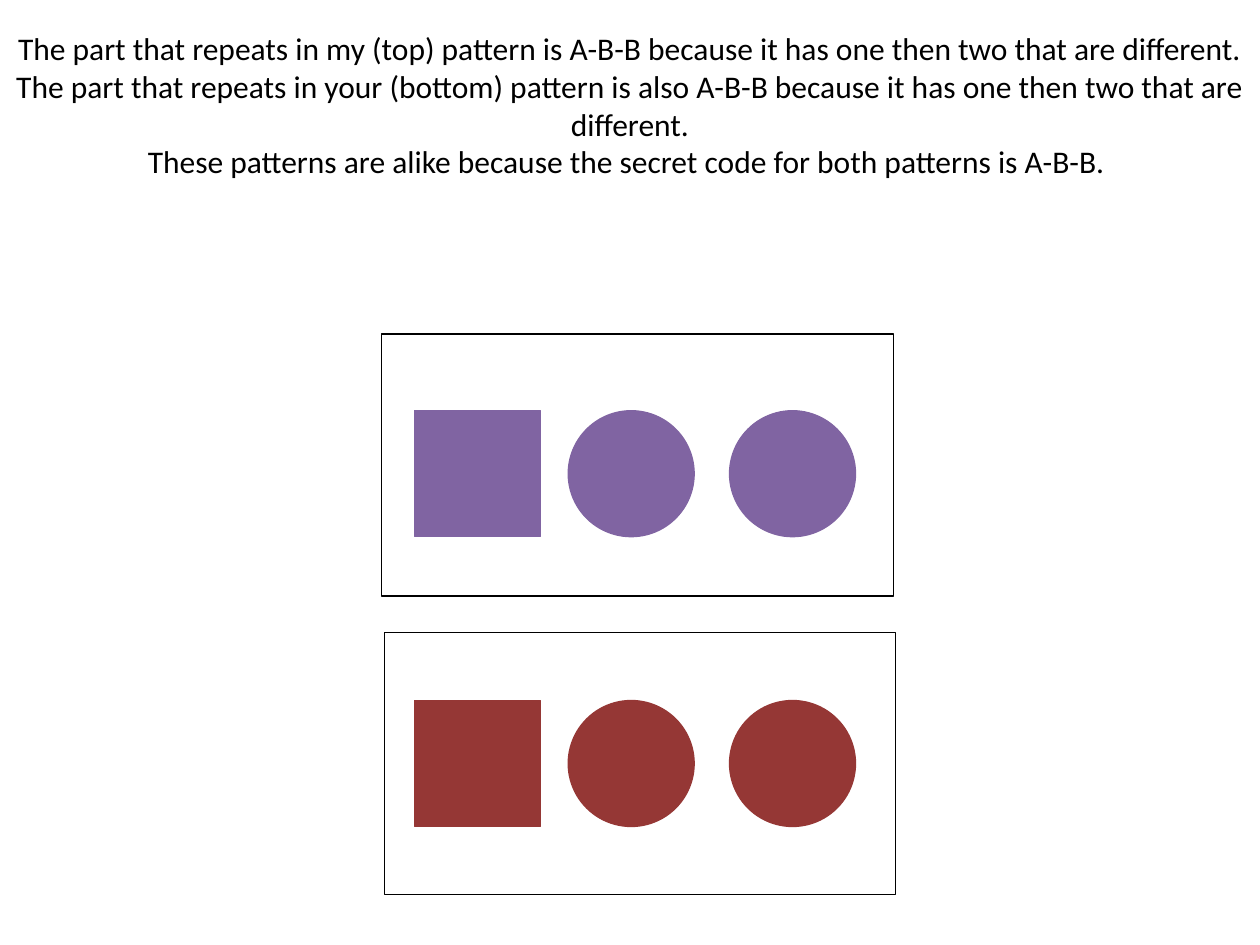
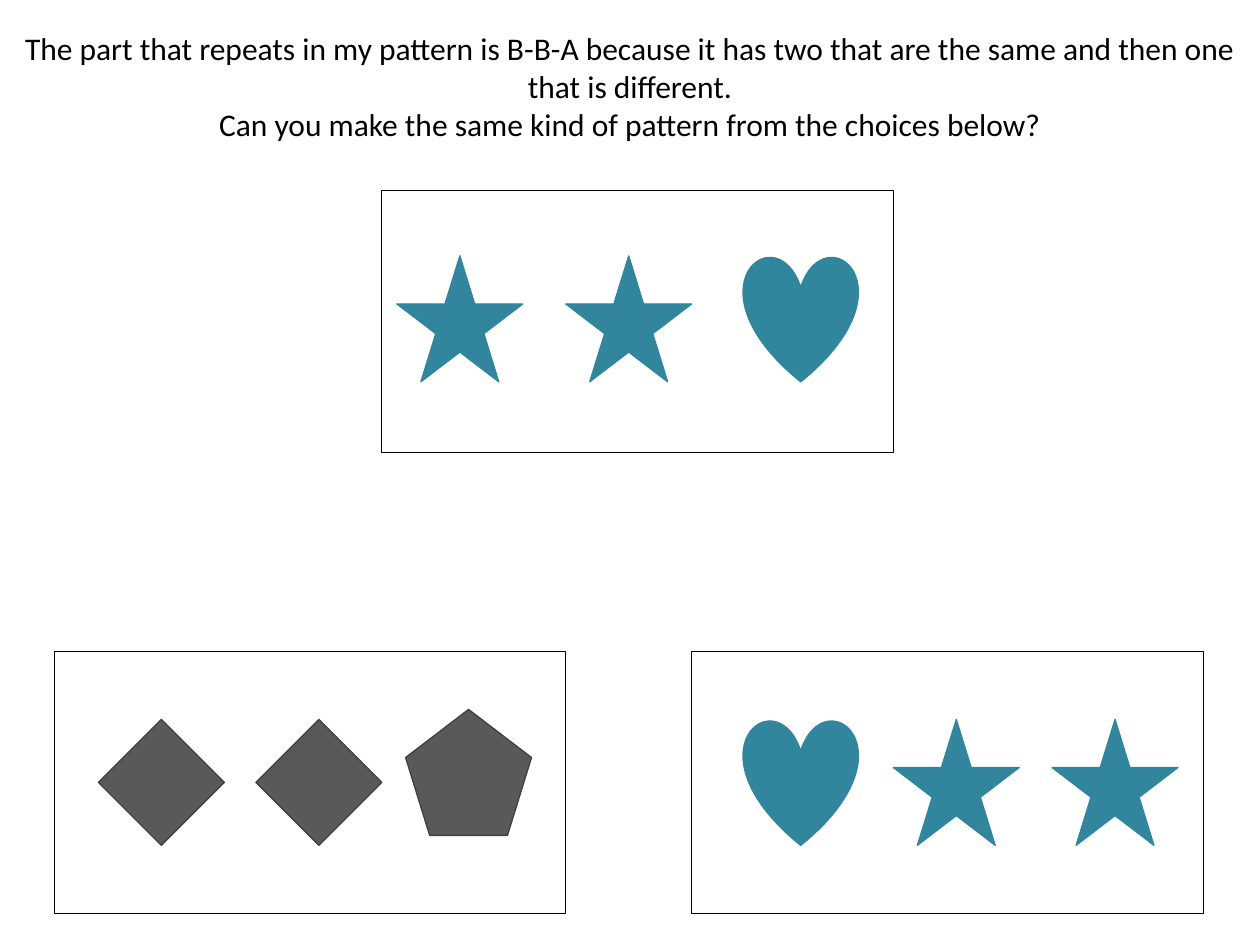
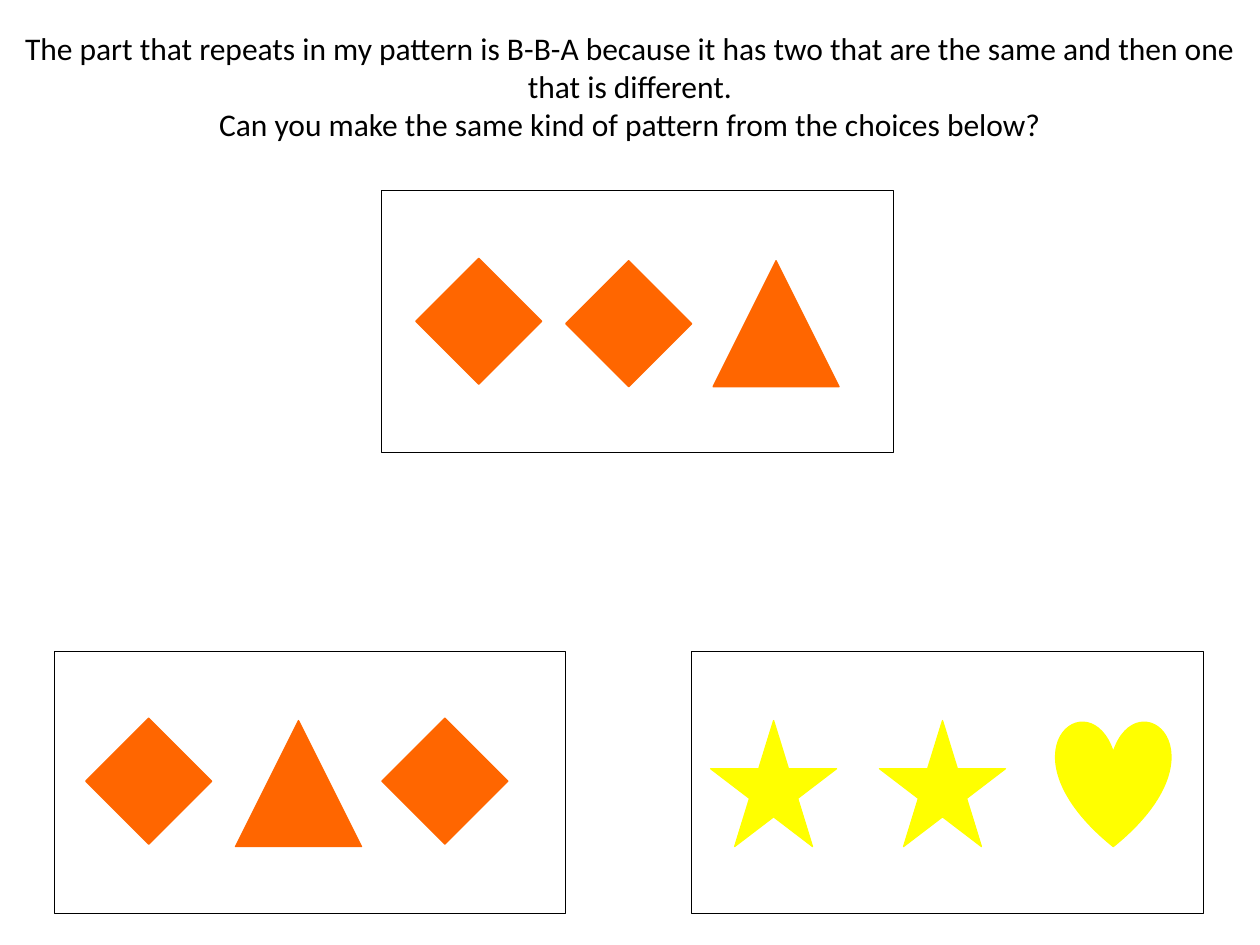
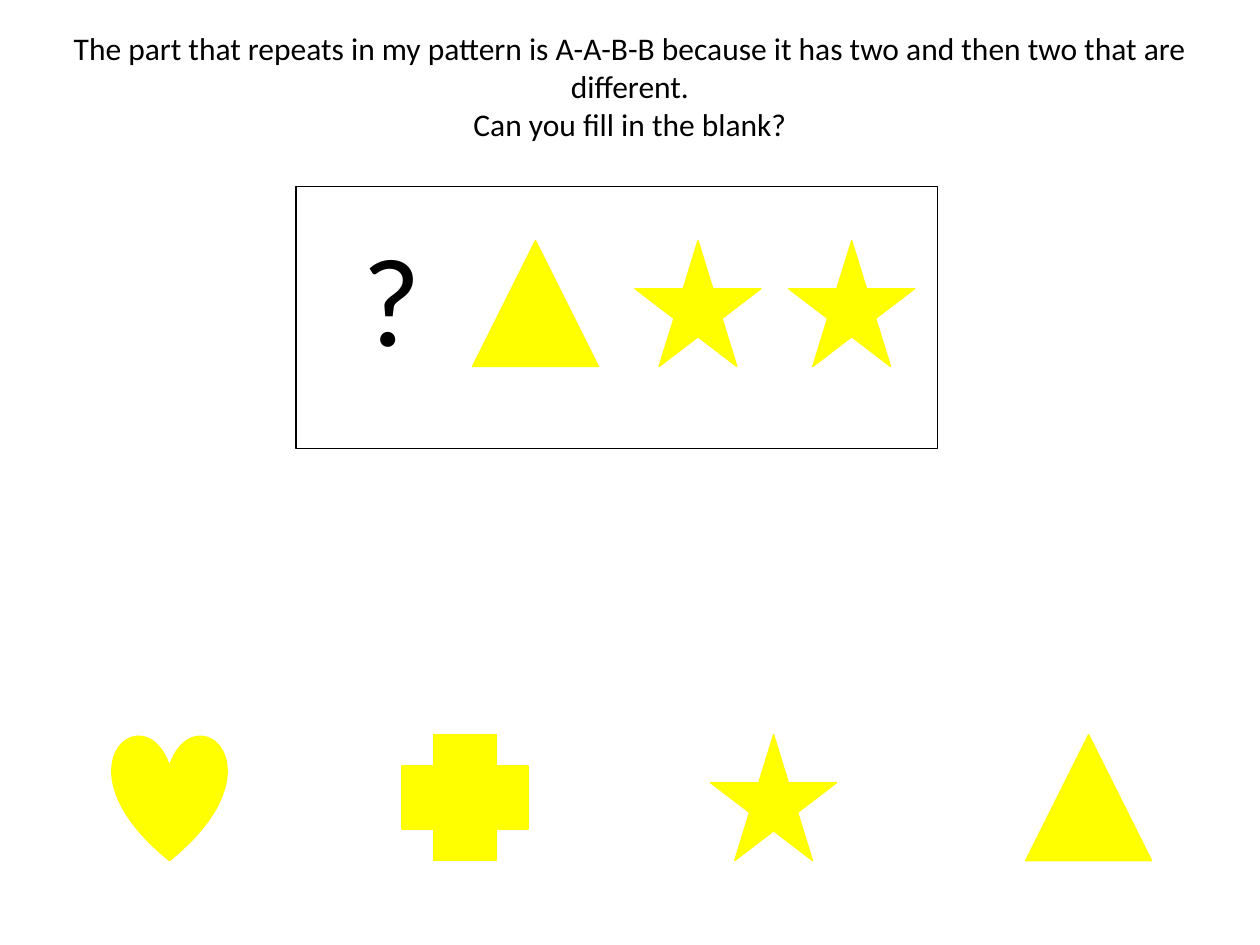
from pptx import Presentation
from pptx.dml.color import RGBColor
from pptx.enum.shapes import MSO_SHAPE
from pptx.enum.text import MSO_ANCHOR, MSO_AUTO_SIZE, PP_ALIGN
from pptx.util import Pt

RECTANGLE = MSO_SHAPE.RECTANGLE
CIRCLE = MSO_SHAPE.OVAL
STAR = MSO_SHAPE.STAR_5_POINT
HEART = MSO_SHAPE.HEART
DIAMOND = MSO_SHAPE.DIAMOND
PENTAGON = MSO_SHAPE.REGULAR_PENTAGON
TRIANGLE = MSO_SHAPE.ISOSCELES_TRIANGLE
CROSS = MSO_SHAPE.CROSS
TOP = MSO_ANCHOR.TOP
CENTER = PP_ALIGN.CENTER
NO_AUTOFIT = MSO_AUTO_SIZE.NONE
TITLE_ONLY = 5

COLORS = {
    "black": "000000",
    "purple": "8064A2",
    "maroon": "953735",
    "teal": "31859C",
    "gray": "595959",
    "dark gray": "404040",
    "orange": "FF6600",
    "yellow": "FFFF00",
}
OUTLINES = {"gray": "dark gray"}
FONT = "Calibri"
SLIDE_WIDTH, SLIDE_HEIGHT = 720, 540
TITLE_TOP = 13
FRAME_WIDTH, WIDE_FRAME_WIDTH, FRAME_HEIGHT = 292.3, 366.5, 149.8
TOP_FRAME = (218.2, 108.7, FRAME_WIDTH)
LEFT_FRAME = (31, 372.2, FRAME_WIDTH)
RIGHT_FRAME = (395.3, 372.2, FRAME_WIDTH)
FIGURE_SIZE, HEART_WIDTH = 72, 65.5

MATCH_TITLE = [
    "The part that repeats in my pattern is B-B-A because it has two that are the same and then one that is different.",
    "Can you make the same kind of pattern from the choices below?",
]
SQUARE_AND_CIRCLES = [(RECTANGLE, 236.9), (CIRCLE, 324.7), (CIRCLE, 416.9)]

SLIDES = [
    {
        "title": [
            "The part that repeats in my (top) pattern is A-B-B because it has one then two that are different.",
            "The part that repeats in your (bottom) pattern is also A-B-B because it has one then two that are different.",
            "These patterns are alike because the secret code for both patterns is A-B-B. ",
        ],
        "title height": 94.3,
        "frames": [(218.2, 190.8, FRAME_WIDTH), (219.6, 361.4, FRAME_WIDTH)],
        "rows": [
            ("purple", 234.7, SQUARE_AND_CIRCLES),
            ("maroon", 400.3, SQUARE_AND_CIRCLES),
        ],
    },
    {
        "title": MATCH_TITLE,
        "frames": [TOP_FRAME, LEFT_FRAME, RIGHT_FRAME],
        "rows": [
            ("teal", 146.2, [(STAR, 226.8), (STAR, 323.3), (HEART, 424.8)]),
            ("teal", 411.1, [(HEART, 424.8), (STAR, 510.5), (STAR, 601.2)]),
            ("gray", 411.1, [(DIAMOND, 56.2), (DIAMOND, 146.2)]),
            ("gray", 405.4, [(PENTAGON, 231.8)]),
        ],
    },
    {
        "title": MATCH_TITLE,
        "frames": [TOP_FRAME, LEFT_FRAME, RIGHT_FRAME],
        "rows": [
            ("orange", 147.6, [(DIAMOND, 237.6)]),
            ("orange", 149, [(DIAMOND, 323.3), (TRIANGLE, 407.5)]),
            ("orange", 410.4, [(DIAMOND, 49), (DIAMOND, 218.2)]),
            ("orange", 411.8, [(TRIANGLE, 134.6)]),
            ("yellow", 411.8, [(STAR, 406.1), (STAR, 502.6), (HEART, 603.4)]),
        ],
    },
    {
        "title": [
            "The part that repeats in my pattern is A-A-B-B because it has two and then two that are different.",
            "Can you fill in the blank?",
        ],
        "frames": [(169.2, 106.6, WIDE_FRAME_WIDTH)],
        "blank": ("?", 187.9, 122.4, 72, 94.3),
        "rows": [
            ("yellow", 137.5, [(TRIANGLE, 270), (STAR, 362.9), (STAR, 450.7)]),
            ("yellow", 419.8, [(HEART, 64.1), (CROSS, 229.7), (STAR, 406.1), (TRIANGLE, 586.1)]),
        ],
    },
]


def color(name):
    return RGBColor.from_string(COLORS[name])


def write(shape, lines, size):
    text_frame = shape.text_frame
    text_frame.text = "\n".join(lines)
    text_frame.word_wrap = True
    text_frame.auto_size = NO_AUTOFIT
    text_frame.vertical_anchor = TOP
    for paragraph in text_frame.paragraphs:
        paragraph.alignment = CENTER
        paragraph.space_before = Pt(0)
        for run in paragraph.runs:
            run.font.name = FONT
            run.font.size = Pt(size)
            run.font.color.rgb = color("black")


def add_title(slide, lines, height):
    title = slide.shapes.title
    title.left, title.top = Pt(0), Pt(TITLE_TOP)
    title.width, title.height = Pt(SLIDE_WIDTH), Pt(height)
    write(title, lines, 18)


def add_figure(slide, kind, left, top, width, height, outline, fill=None):
    shape = slide.shapes.add_shape(kind, Pt(left), Pt(top), Pt(width), Pt(height))
    shape.shadow.inherit = False
    if fill:
        shape.fill.solid()
        shape.fill.fore_color.rgb = color(fill)
    else:
        shape.fill.background()
    shape.line.color.rgb = color(outline)
    shape.line.width = Pt(0.75)


def build_slide(presentation, content):
    slide = presentation.slides.add_slide(presentation.slide_layouts[TITLE_ONLY])
    add_title(slide, content["title"], content.get("title height", 72.7))
    for left, top, width in content["frames"]:
        add_figure(slide, RECTANGLE, left, top, width, FRAME_HEIGHT, "black")
    if "blank" in content:
        mark, *box = content["blank"]
        write(slide.shapes.add_textbox(*map(Pt, box)), [mark], 72)
    for fill, top, figures in content["rows"]:
        for kind, left in figures:
            width = HEART_WIDTH if kind == HEART else FIGURE_SIZE
            add_figure(slide, kind, left, top, width, FIGURE_SIZE, OUTLINES.get(fill, fill), fill)


def main():
    presentation = Presentation()
    presentation.slide_width = Pt(SLIDE_WIDTH)
    presentation.slide_height = Pt(SLIDE_HEIGHT)
    for content in SLIDES:
        build_slide(presentation, content)
    presentation.save("out.pptx")


if __name__ == "__main__":
    main()
